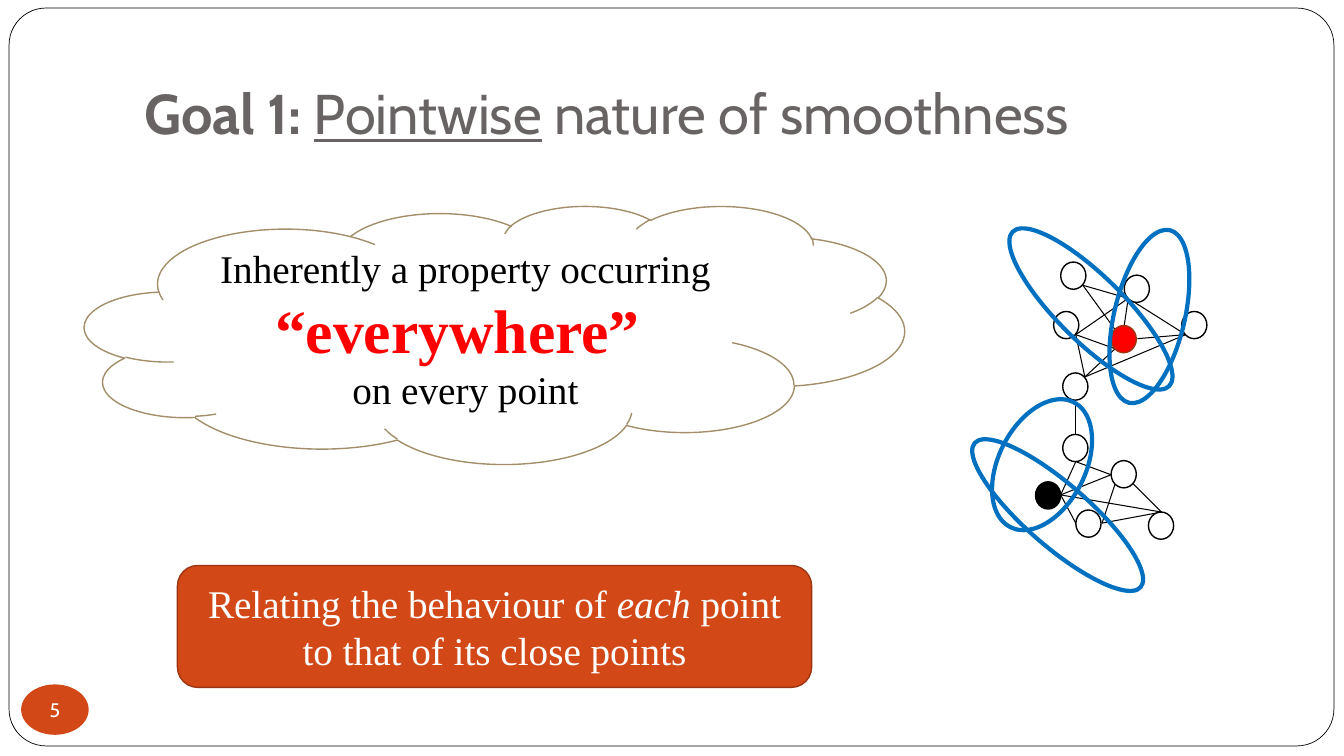
import pptx
import pptx.util
import pptx.dml.color
import pptx.enum.shapes
import pptx.enum.text
import lxml.etree

Inches = pptx.util.Inches
KIND = pptx.enum.shapes.MSO_SHAPE
ALIGN = pptx.enum.text.PP_ALIGN
ANCHOR = pptx.enum.text.MSO_ANCHOR
FIT = pptx.enum.text.MSO_AUTO_SIZE
SERIF = "Times New Roman"
SANS = "Cabin"
SPOTS = {
    "west": (10.67, 3.32), "north": (10.74, 2.83), "peak": (11.19, 2.96),
    "east": (11.76, 3.32), "mid": (10.76, 3.74), "foot": (10.67, 3.97),
    "red low": (11.06, 3.46), "red high": (11.06, 3.27),
    "red right": (11.28, 3.36), "red top": (11.15, 3.23),
    "neck": (10.67, 4.32), "hub": (10.67, 4.58), "black": (10.52, 4.91),
    "star": (11.02, 4.71), "star right": (11.24, 4.8),
    "star low": (11.06, 4.8), "south": (11.52, 5.08),
    "base right": (10.93, 5.19), "base left": (10.67, 5.19),
}
EDGES = [
    ("west", "red low"), ("north", "red high"), ("red right", "east"),
    ("peak", "red top"), ("neck", "foot"), ("mid", "west"),
    ("peak", "west"), ("peak", "east"), ("mid", "east"),
    ("north", "peak"), ("hub", "black"), ("star", "black"),
    ("black", "south"), ("star", "hub"), ("south", "star right"),
    ("star low", "base right"), ("south", "base right"),
    ("base left", "black"), ("red low", "mid"),
]
NODES = [
    (10.52, 2.6, "FFFFFF", "000000"), (11.15, 2.73, "FFFFFF", "000000"),
    (10.54, 3.7, "FFFFFF", "000000"), (11.02, 3.23, "FF0000", "9C3511"),
    (11.72, 3.09, "FFFFFF", "000000"), (10.45, 3.09, "FFFFFF", "000000"),
    (10.54, 4.31, "FFFFFF", "000000"), (11.02, 4.57, "FFFFFF", "000000"),
    (10.67, 5.06, "FFFFFF", "000000"), (11.39, 5.08, "FFFFFF", "000000"),
    (10.27, 4.78, "000000", "000000"),
]
RINGS = [
    ((9.73, 2.74, 2.18, 0.65), 44.6), ((10.52, 2.79, 1.76, 0.7), 103.3),
    ((9.4, 4.8, 2.18, 0.62), 41), ((9.64, 4.18, 1.39, 0.86), 116.9),
]


def color(code):
    """Turn a hex string into a colour."""
    return pptx.dml.color.RGBColor.from_string(code)


def style(item, looks):
    """Set each attribute named in a dict."""
    for name, value in looks.items():
        setattr(item, name, value)


def stroke(line, code, width):
    """Set the colour and width of a line."""
    line.color.rgb = color(code)
    line.width = pptx.util.Pt(width)


def shape(slide, kind, box, fill=None, line=None, width=1):
    """Add a preset shape without a shadow."""
    item = slide.shapes.add_shape(kind, *map(Inches, box))
    item.shadow.inherit = False
    if fill:
        item.fill.solid()
        item.fill.fore_color.rgb = color(fill)
    else:
        item.fill.background()
    if line:
        stroke(item.line, line, width)
    else:
        item.line.fill.background()
    return item


def edge(slide, start, end):
    """Join two named spots with a thin line."""
    kind = pptx.enum.shapes.MSO_CONNECTOR.STRAIGHT
    item = slide.shapes.add_connector(kind, *map(Inches, SPOTS[start] + SPOTS[end]))
    stroke(item.line, "000000", 0.75)
    props = item.element.spPr
    lxml.etree.SubElement(props, pptx.oxml.ns.qn("a:effectLst"))


def write(item, paras, font, size, code, align, frame):
    """Fill a shape with paragraphs of (text, format) runs."""
    body = item.text_frame
    style(body, frame)
    for count, runs in enumerate(paras):
        para = body.add_paragraph() if count else body.paragraphs[0]
        para.alignment = align
        for text, looks in runs:
            run = para.add_run()
            run.text = text
            base = {"name": font, "size": pptx.util.Pt(size)}
            run.font.color.rgb = color(code)
            style(run.font, base | looks)
    return body


def inset(left, top, right, base):
    """Return text margins as format values."""
    return {"margin_left": Inches(left), "margin_top": Inches(top),
            "margin_right": Inches(right), "margin_bottom": Inches(base)}


def head(slide):
    """Place the title above the frame and write it."""
    title = slide.shapes.title
    title.element.getparent().append(title.element)
    spot = dict(zip(("left", "top", "width", "height"),
                    map(Inches, (1.33, 0.3, 11.33, 1.25))))
    style(title, spot)
    runs = [("Goal 1: ", {"bold": True}), ("Pointwise", {"underline": True}),
            (" nature of smoothness", {})]
    frame = {"vertical_anchor": ANCHOR.BOTTOM, "word_wrap": True,
             "auto_size": FIT.NONE}
    write(title, [runs], SANS, 40, "696464", ALIGN.LEFT,
          frame | inset(0.1, 0.05, 0.1, 0.1))


def graph(slide):
    """Draw the edges, then the nodes."""
    for start, end in EDGES:
        edge(slide, start, end)
    for left, top, fill, line in NODES:
        shape(slide, KIND.OVAL, (left, top, 0.25, 0.27), fill, line)


def main():
    """Build and save the slide."""
    deck = pptx.Presentation()
    style(deck, {"slide_width": Inches(13.33), "slide_height": Inches(7.5)})
    slide = deck.slides.add_slide(deck.slide_layouts[5])
    frame = shape(slide, KIND.ROUNDED_RECTANGLE, (0.09, 0.08, 13.14, 7.32),
                  "FFFFFF", "000000", 0.5)
    frame.adjustments[0] = 0.05
    graph(slide)
    head(slide)
    mid = {"vertical_anchor": ANCHOR.MIDDLE, "word_wrap": True}
    flush = mid | inset(0, 0, 0, 0)
    badge = shape(slide, KIND.OVAL, (0.21, 6.79, 0.67, 0.5), "D34817")
    write(badge, [[("5", {})]], SANS, 14, "FFFFFF", ALIGN.CENTER,
          flush | {"word_wrap": False})
    cloud = shape(slide, KIND.CLOUD, (0.84, 2.04, 8.13, 2.56), "FFFFFF", "A28E6A")
    loud = {"size": pptx.util.Pt(44), "bold": True}
    lines = [[("Inherently a property occurring ", {}), ("“everywhere” ", loud)],
             [("on every point", {})]]
    body = write(cloud, lines, SERIF, 28, "000000", ALIGN.CENTER, flush)
    body.paragraphs[0].runs[1].font.color.rgb = color("FF0000")
    for box, turn in RINGS:
        ring = shape(slide, KIND.OVAL, box, line="0070C0", width=3)
        ring.rotation = turn
    goal = shape(slide, KIND.ROUNDED_RECTANGLE, (1.76, 5.61, 6.29, 1.21),
                 "D34817", "9C3511")
    runs = [("Relating the behaviour of ", {}), ("each", {"italic": True}),
            (" point to that of its close points", {})]
    write(goal, [runs], SERIF, 28, "FFFFFF", ALIGN.CENTER, mid)
    deck.save("out.pptx")


if __name__ == "__main__":
    main()
